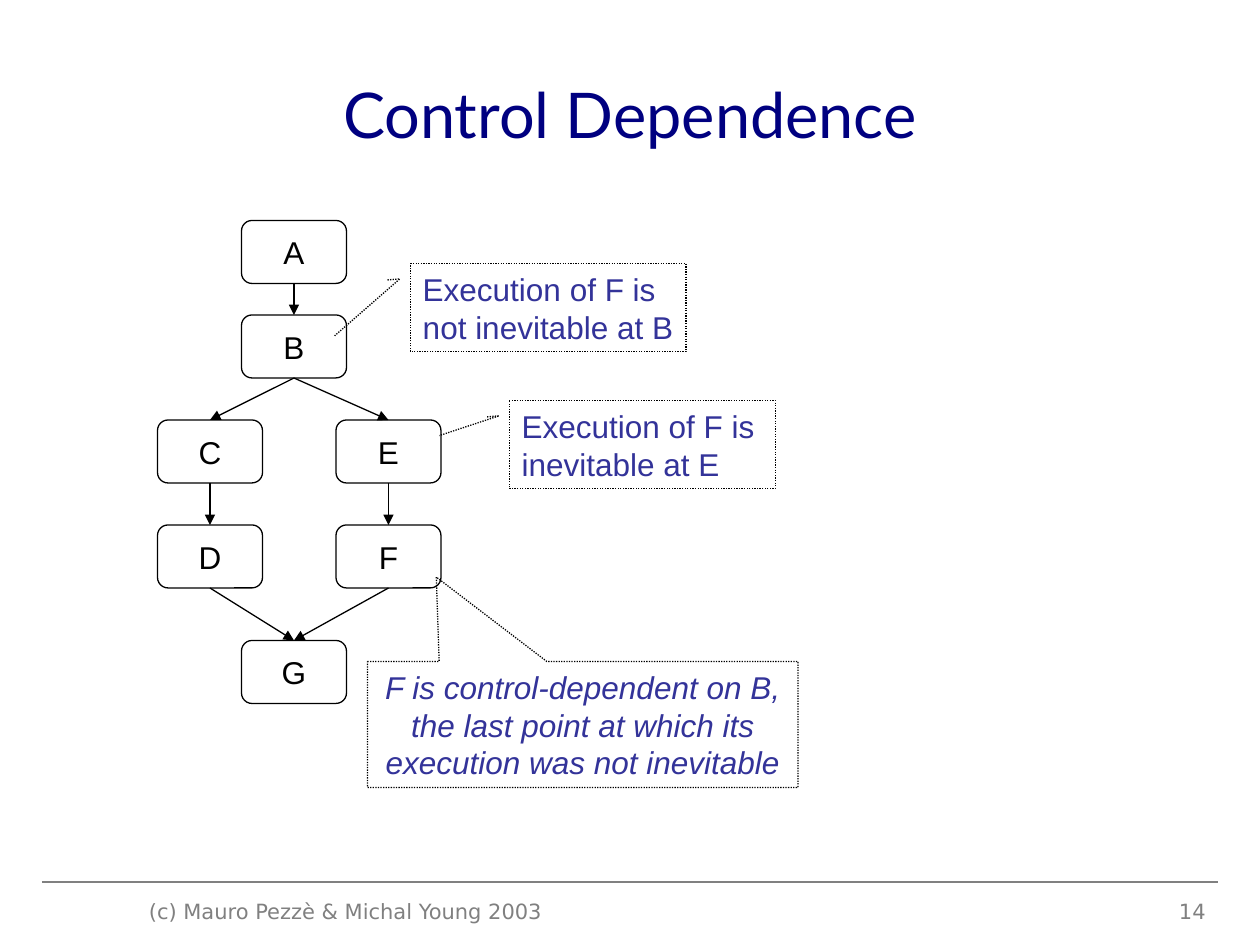
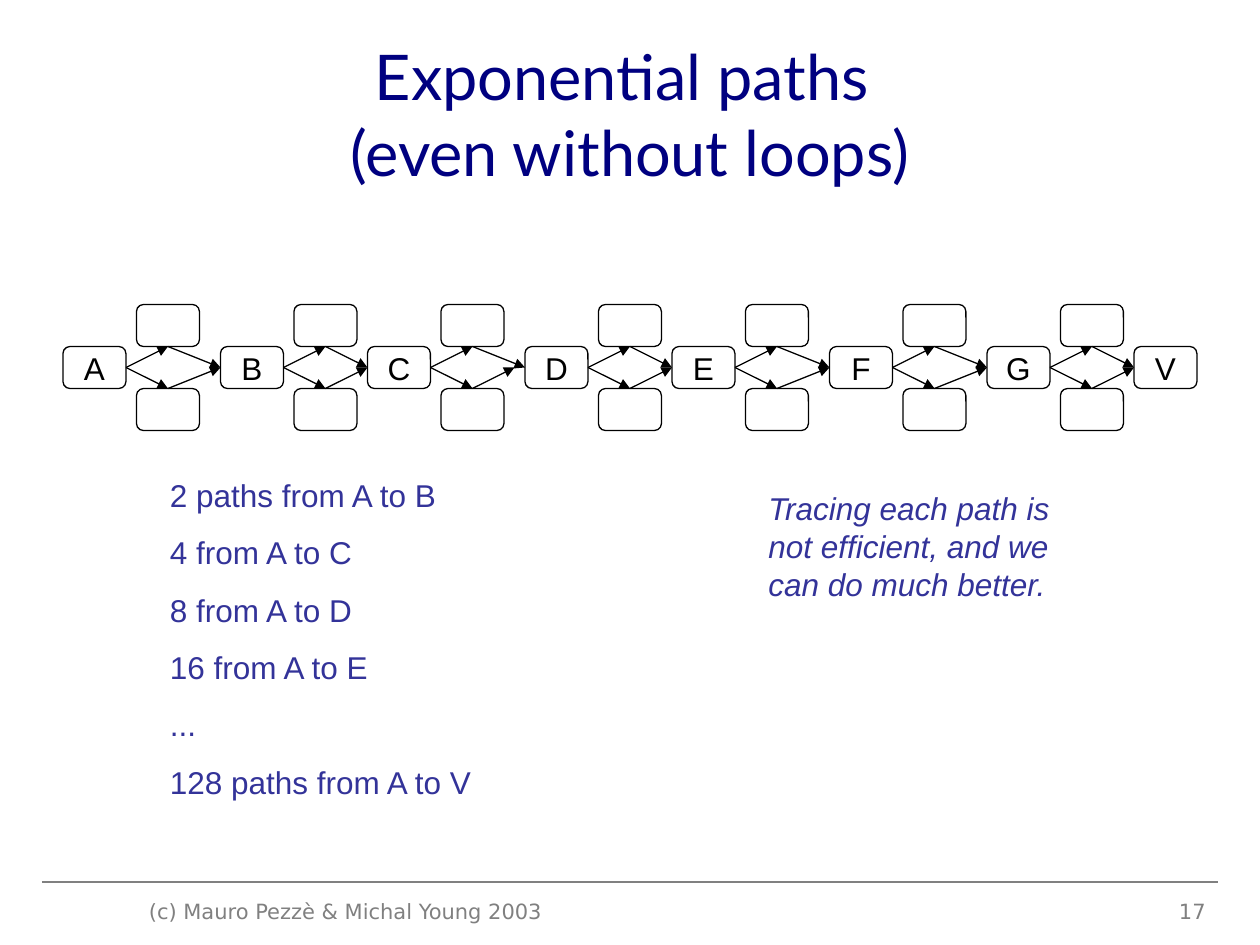
import pptx
import pptx.dml.color
import pptx.enum.dml
import pptx.enum.shapes
import pptx.enum.text
import pptx.oxml.ns
import pptx.util
from lxml import etree

Pt = pptx.util.Pt
SHAPE = pptx.enum.shapes.MSO_SHAPE
ALIGN = pptx.enum.text.PP_ALIGN
ANCHOR = pptx.enum.text.MSO_ANCHOR
DOTTED = pptx.enum.dml.MSO_LINE.ROUND_DOT

COLORS = {"title": "000080", "ink": "000000", "note": "333399", "footer": "808080"}
FONTS = {"title": "Lato", "body": "Arial", "footer": "DejaVu Sans"}
COPYRIGHT = "(c) Mauro Pezzè & Michal Young 2003"


def color(name):
    return pptx.dml.color.RGBColor.from_string(COLORS[name])


def write(box, *lines, font="body", size=18, ink="ink", italic=False,
          align=ALIGN.LEFT, anchor=ANCHOR.TOP, wrap=True, gap=0):
    frame = box.text_frame
    frame.word_wrap = wrap
    frame.vertical_anchor = anchor
    for index, line in enumerate(lines):
        para = frame.add_paragraph() if index else frame.paragraphs[0]
        para.text = line
        para.alignment = align
        para.space_before = Pt(gap if index else 0)
        for span in para.runs:
            span.font.name = FONTS[font]
            span.font.size = Pt(size)
            span.font.italic = italic
            span.font.color.rgb = color(ink)


class Deck:
    def __init__(self):
        self.file = pptx.Presentation()
        self.file.slide_width = Pt(720)
        self.file.slide_height = Pt(540)
        self.page = None

    def start_page(self, title, number):
        self.page = self.file.slides.add_slide(self.file.slide_layouts[6])
        self.line((24, 504), (696, 504), ink="footer")
        self.text(36, 21.6, 648, 86.4, title, font="title", size=36, ink="title",
                  align=ALIGN.CENTER, anchor=ANCHOR.MIDDLE)
        self.text(78, 510, 252, 19.5, COPYRIGHT, font="footer", size=12, ink="footer")
        self.text(528, 510, 168, 19.5, str(number), font="footer", size=12,
                  ink="footer", align=ALIGN.RIGHT)

    def text(self, left, top, width, height, *lines, **style):
        box = self.page.shapes.add_textbox(Pt(left), Pt(top), Pt(width), Pt(height))
        write(box, *lines, **style)

    def shape(self, kind, left, top, width, height, adjustments, dash=None):
        shape = self.page.shapes.add_shape(kind, Pt(left), Pt(top), Pt(width), Pt(height))
        for index, value in enumerate(adjustments):
            shape.adjustments[index] = value
        shape.shadow.inherit = False
        shape.fill.background()
        shape.line.color.rgb = color("ink")
        shape.line.width = Pt(0.75)
        shape.line.dash_style = dash
        return shape

    def node(self, left, top, width, height, label=None):
        node = self.shape(SHAPE.ROUNDED_RECTANGLE, left, top, width, height, [0.167])
        if label:
            write(node, label, align=ALIGN.CENTER, anchor=ANCHOR.MIDDLE, wrap=False)

    def callout(self, kind, left, top, width, height, adjustments, *lines, **style):
        callout = self.shape(kind, left, top, width, height, adjustments, dash=DOTTED)
        write(callout, *lines, ink="note", wrap=False, **style)

    def line(self, start, end, ink="ink", arrow=False):
        line = self.page.shapes.add_connector(
            pptx.enum.shapes.MSO_CONNECTOR.STRAIGHT, *map(Pt, start + end))
        line.line.color.rgb = color(ink)
        line.line.width = Pt(0.75)
        if arrow:
            stroke = line.line._get_or_add_ln()
            etree.SubElement(stroke, pptx.oxml.ns.qn("a:tailEnd"), type="triangle")
        etree.SubElement(line._element.spPr, pptx.oxml.ns.qn("a:effectLst"))


def control_dependence(deck):
    deck.start_page("Control Dependence", 14)
    width, height = 60, 36
    nodes = {"A": (138, 126), "B": (138, 180), "C": (90, 240), "D": (90, 300),
             "E": (192, 240), "F": (192, 300), "G": (138, 366)}
    for label, (left, top) in nodes.items():
        deck.node(left, top, width, height, label)
    for source, target in ("AB", "BC", "BE", "CD", "EF", "DG", "FG"):
        left, top = nodes[source]
        end_left, end_top = nodes[target]
        deck.line((left + width / 2, top + height), (end_left + width / 2, end_top),
                  arrow=True)

    deck.callout(SHAPE.RECTANGULAR_CALLOUT, 210, 378, 246, 72, [-0.34, -1.17],
                 "F is control-dependent on B,", "the last point at which its",
                 "execution was not inevitable",
                 italic=True, align=ALIGN.CENTER, anchor=ANCHOR.MIDDLE)
    elbow = [0.188, -0.083, 0.176, -0.038]
    deck.callout(SHAPE.LINE_CALLOUT_2, 234.5, 150.5, 157.5, 50.5, elbow + [0.82, -0.275],
                 "Execution of F is", "not inevitable at B", anchor=ANCHOR.BOTTOM)
    deck.callout(SHAPE.LINE_CALLOUT_2, 291, 228.75, 152, 50.5, elbow + [0.4, -0.263],
                 "Execution of F is", "inevitable at E", anchor=ANCHOR.BOTTOM)


def exponential_paths(deck):
    deck.start_page("Exponential paths \v(even without loops)", 17)
    width, height, top = 36, 24, 198
    middle, bottom = top + height / 2, top + height
    lefts = dict(zip("ABCDEFGV", (36, 126, 210, 300, 384, 474, 564, 648)))
    short_ends = {"C": 294}
    for label, left in lefts.items():
        deck.node(left, top, width, height, label)
    for (label, left), following in zip(lefts.items(), list(lefts.values())[1:]):
        branch = left + 42
        deck.node(branch, top - height, width, height)
        deck.node(branch, bottom, width, height)
        ends = {top: following, bottom: short_ends.get(label, following)}
        for edge, end in ends.items():
            fork = (branch + width / 2, edge)
            deck.line((left + width, middle), fork, arrow=True)
            deck.line(fork, (end, middle), arrow=True)

    deck.text(90, 268, 188.5, 193, "2 paths from A to B", "4 from A to C",
              "8 from A to D", "16 from A to E", "...", "128 paths from A to V",
              ink="note", anchor=ANCHOR.BOTTOM, wrap=False, gap=11.2)
    deck.text(432, 276, 179.5, 72,
              "Tracing each path is not efficient, and we can do much better.",
              ink="note", italic=True, anchor=ANCHOR.BOTTOM)


def main():
    deck = Deck()
    control_dependence(deck)
    exponential_paths(deck)
    deck.file.save("out.pptx")


if __name__ == "__main__":
    main()
